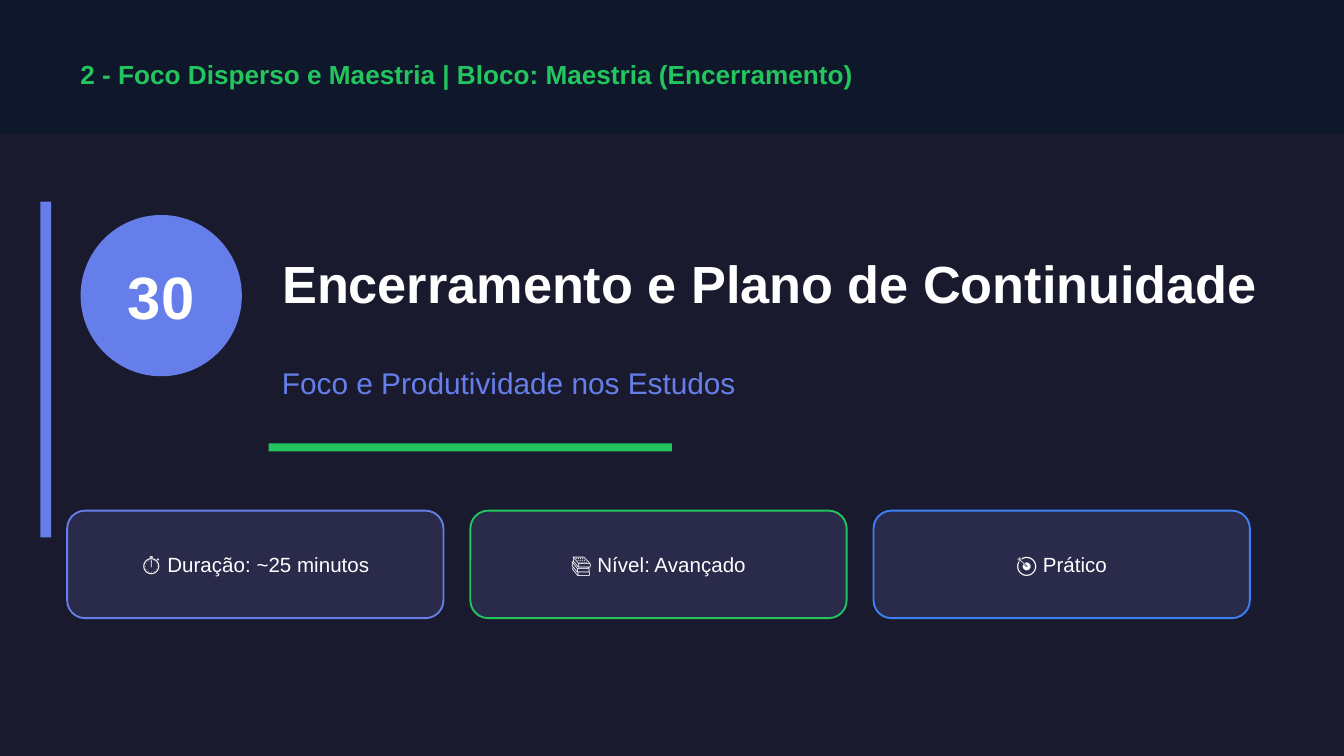
from pptx import Presentation
from pptx.dml.color import RGBColor
from pptx.enum.shapes import MSO_SHAPE
from pptx.enum.text import MSO_ANCHOR, MSO_AUTO_SIZE, PP_ALIGN
from pptx.util import Inches, Pt

RECT, OVAL, ROUNDED = MSO_SHAPE.RECTANGLE, MSO_SHAPE.OVAL, MSO_SHAPE.ROUNDED_RECTANGLE
MIDDLE, NO_FIT = MSO_ANCHOR.MIDDLE, MSO_AUTO_SIZE.NONE
LEFT, CENTER = PP_ALIGN.LEFT, PP_ALIGN.CENTER

FONT = "Arial"
COLORS = {
    "background": "1A1A2E",
    "header": "0F172A",
    "green": "22C55E",
    "indigo": "667EEA",
    "blue": "3B82F6",
    "card": "2A2A4A",
    "white": "FFFFFF",
}

HEADER = "2 - Foco Disperso e Maestria | Bloco: Maestria (Encerramento)"
NUMBER = "30"
TITLE = "Encerramento e Plano de Continuidade"
SUBTITLE = "Foco e Produtividade nos Estudos"
CARDS = [
    ("⏱ Duração: ~25 minutos", "indigo"),
    ("📚 Nível: Avançado", "green"),
    ("🎯 Prático", "blue"),
]
SLIDE_W = 10
SLIDE_H = SLIDE_W * 9 / 16
CARD_LEFT, CARD_TOP, CARD_W, CARD_H, CARD_GAP = 0.5, 3.8, 2.8, 0.8, 0.2


def color(name):
    return RGBColor.from_string(COLORS[name])


def add_box(slide, kind, at, fill, line=None):
    sp = slide.shapes.add_shape(kind, *map(Inches, at))
    sp.shadow.inherit = False
    sp.fill.solid()
    sp.fill.fore_color.rgb = color(fill)
    if line:
        sp.line.color.rgb = color(line)
        sp.line.width = Pt(1)
    else:
        sp.line.fill.background()


def write(sp, text, size, ink, bold=False, align=LEFT):
    tf = sp.text_frame
    tf.word_wrap = True
    tf.auto_size = NO_FIT
    tf.vertical_anchor = MIDDLE
    p = tf.paragraphs[0]
    p.alignment = align
    r = p.add_run()
    r.text = text
    r.font.name = FONT
    r.font.size = Pt(size)
    r.font.bold = bold
    r.font.color.rgb = color(ink)


def add_text(slide, at, *args, **kwargs):
    write(slide.shapes.add_textbox(*map(Inches, at)), *args, **kwargs)


def main():
    prs = Presentation()
    prs.slide_width, prs.slide_height = Inches(SLIDE_W), Inches(SLIDE_H)
    s = prs.slides.add_slide(prs.slide_layouts[5])
    s.background.fill.solid()
    s.background.fill.fore_color.rgb = color("background")

    add_box(s, RECT, (0, 0, SLIDE_W, 1), "header")
    add_text(s, (0.5, 0.35, 9, 0.4), HEADER, 14, "green", bold=True)

    add_box(s, RECT, (0.3, 1.5, 0.08, 2.5), "indigo")
    add_box(s, OVAL, (0.6, 1.6, 1.2, 1.2), "indigo")
    add_text(s, (0.6, 1.85, 1.2, 0.7), NUMBER, 32, "white", bold=True, align=CENTER)

    title = s.shapes.title
    title.left, title.top, title.width, title.height = map(Inches, (2, 1.6, 7.5, 1))
    write(title, TITLE, 28, "white", bold=True)
    add_text(s, (2, 2.6, 7.5, 0.5), SUBTITLE, 16, "indigo")
    add_box(s, RECT, (2, 3.3, 3, 0.06), "green")

    for i, (label, accent) in enumerate(CARDS):
        x = CARD_LEFT + i * (CARD_W + CARD_GAP)
        add_box(s, ROUNDED, (x, CARD_TOP, CARD_W, CARD_H), "card", accent)
        add_text(s, (x, CARD_TOP + 0.15, CARD_W, 0.5), label, 11, "white", align=CENTER)

    prs.save("out.pptx")


if __name__ == "__main__":
    main()
